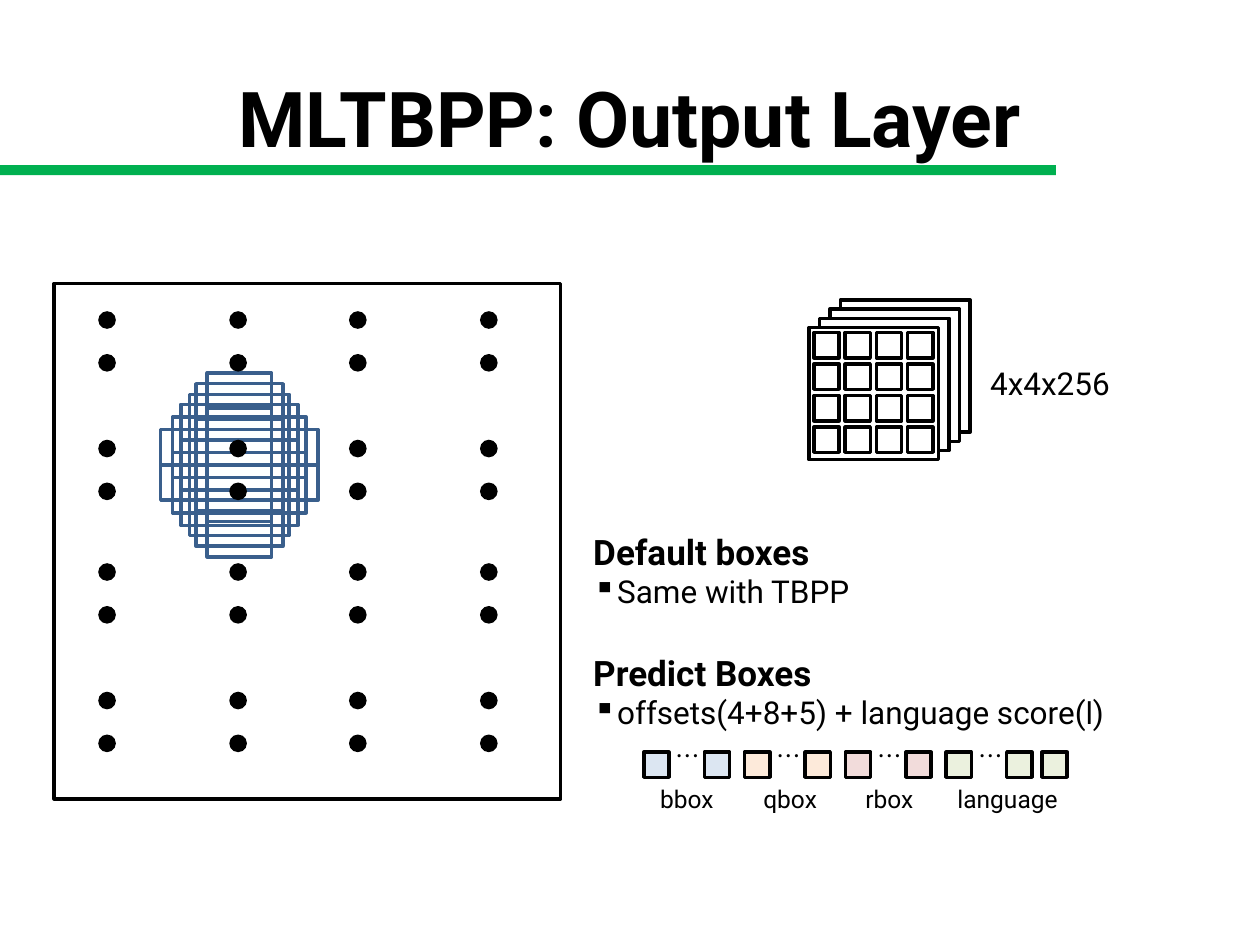
from itertools import product

from lxml.etree import SubElement
from pptx import Presentation
from pptx.dml.color import RGBColor
from pptx.enum.shapes import MSO_SHAPE
from pptx.enum.text import MSO_ANCHOR, PP_ALIGN
from pptx.oxml.ns import qn
from pptx.util import Inches, Pt

COLORS = {
    "black": "000000",
    "white": "FFFFFF",
    "green": "00B050",
    "default_box": "3A5F8C",
    "bbox": "DCE6F2",
    "qbox": "FDEADA",
    "rbox": "F2DCDB",
    "language": "EBF1DE",
}
TITLE = {"size": Pt(44), "bold": True}
HEADING = {"size": Pt(20), "bold": True}
BODY = {"size": Pt(18), "bold": False}
LABEL = {"size": Pt(14)}
TIGHT = {"margin_left": 0, "margin_right": 0, "margin_top": 0, "margin_bottom": 0}


def set_attributes(target, values):
    for name, value in values.items():
        setattr(target, name, value)


class SlideBuilder:
    """Holds the text style and the slide, or group, being filled."""

    def __init__(self, slide, font="Roboto", line_width=2):
        self.slide = slide
        self.font = font
        self.line_width = Pt(line_width)
        self.shapes = slide.shapes

    def start_group(self):
        self.shapes = self.slide.shapes.add_group_shape().shapes

    def end_group(self):
        self.shapes = self.slide.shapes

    def shape(self, left, top, width, height, fill="white", line="black",
              kind=MSO_SHAPE.RECTANGLE):
        shape = self.shapes.add_shape(
            kind, Inches(left), Inches(top), Inches(width), Inches(height))
        shape.shadow.inherit = False
        if fill:
            shape.fill.solid()
            shape.fill.fore_color.rgb = RGBColor.from_string(COLORS[fill])
        else:
            shape.fill.background()
        if line:
            shape.line.color.rgb = RGBColor.from_string(COLORS[line])
            shape.line.width = self.line_width
        else:
            shape.line.fill.background()

    def run(self, paragraph, text, style, font=None):
        run = paragraph.add_run()
        run.text = text
        set_attributes(run.font, {"name": font or self.font, **style})
        run.font.color.rgb = RGBColor.from_string(COLORS["black"])
        return run

    def text_box(self, left, top, width, height, **frame_format):
        box = self.shapes.add_textbox(
            Inches(left), Inches(top), Inches(width), Inches(height))
        set_attributes(box.text_frame, {"word_wrap": True, **frame_format})
        return box.text_frame

    def text(self, left, top, width, height, text, style, align=PP_ALIGN.LEFT,
             font=None, **frame_format):
        frame = self.text_box(left, top, width, height, **frame_format)
        paragraph = frame.paragraphs[0]
        paragraph.alignment = align
        return self.run(paragraph, text, style, font)

    def dots(self, left, top, size):
        font = "Noto Sans CJK KR"
        run = self.text(left, top, size, size, "…", LABEL, PP_ALIGN.CENTER, font,
                        vertical_anchor=MSO_ANCHOR.MIDDLE, **{**TIGHT, "word_wrap": False})
        SubElement(run.font._element, qn("a:ea"), typeface=font)

    def section(self, left, top, width, height, heading, bullet_runs):
        frame = self.text_box(left, top, width, height)
        self.run(frame.paragraphs[0], heading, HEADING)
        paragraph = frame.add_paragraph()
        indent = Inches(0.19)
        properties = paragraph._p.get_or_add_pPr()
        properties.set("marL", str(indent))
        properties.set("indent", str(-indent))
        SubElement(properties, qn("a:buChar"), char="▪")
        for text, font in bullet_runs:
            self.run(paragraph, text, BODY, font)


def add_feature_maps(builder):
    builder.start_group()
    # Stacked maps, back to front
    for step in range(4):
        builder.shape(6.67 - 0.083 * step, 2.38 + 0.073 * step, 1.03, 1.05)
    # Cells of the front map
    for row, column in product(range(4), repeat=2):
        builder.shape(6.46 + 0.248 * column, 2.64 + 0.25 * row, 0.2, 0.2)
    builder.text(7.76, 2.84, 1.16, 0.4, "4x4x256", BODY, word_wrap=False)
    builder.end_group()


def add_prediction_vector(builder):
    size, top = 0.2, 5.97
    labels = [("bbox", 5.14, 0.64), ("qbox", 5.96, 0.63),
              ("rbox", 6.77, 0.63), ("language", 7.5, 1.13)]
    builder.start_group()
    for index, (name, label_left, label_width) in enumerate(labels):
        left = 5.11 + 0.8 * index
        for offset in (0, 0.48):
            builder.shape(left + offset, top, size, size, name)
        builder.dots(left + 0.25, 5.9, size)
        builder.text(label_left, 6.17, label_width, 0.34, name, LABEL)
    builder.shape(8.27, top, size, size, "language")
    builder.end_group()


def add_default_boxes(builder):
    sizes = [(1.25, 0.28), (1.06, 0.48), (0.93, 0.68),
             (0.79, 0.84), (0.69, 1.01), (0.51, 1.18)]
    center_x = 1.9
    builder.start_group()
    for center_y, (width, height) in product((3.55, 3.83), sizes):
        builder.shape(center_x - width / 2, center_y - height / 2, width, height,
                      None, "default_box")
    builder.end_group()


def add_anchor_points(builder):
    columns = (0.78, 1.82, 2.77, 3.81)
    rows = (2.47, 3.49, 4.47, 5.49)
    builder.start_group()
    for top, left, offset in product(rows, columns, (0, 0.34)):
        builder.shape(left, top + offset, 0.14, 0.14, "black", None, MSO_SHAPE.OVAL)
    builder.end_group()


def main():
    presentation = Presentation()
    presentation.slide_width = Inches(10)
    presentation.slide_height = Inches(7.5)
    slide = presentation.slides.add_slide(presentation.slide_layouts[6])
    builder = SlideBuilder(slide)

    # Title
    builder.text(0.5, 0.3, 9, 1.25, "MLTBPP: Output Layer", TITLE,
                 PP_ALIGN.CENTER, vertical_anchor=MSO_ANCHOR.MIDDLE)

    # Input area with default boxes and anchor points
    builder.shape(0.43, 2.25, 4.02, 4.09)
    add_default_boxes(builder)
    add_anchor_points(builder)

    # Feature maps and predicted values
    add_feature_maps(builder)
    add_prediction_vector(builder)

    # Explanations
    builder.section(4.61, 4.16, 4.31, 0.74, "Default boxes",
                    [("Same with TBPP", None)])
    builder.section(4.61, 5.12, 4.49, 0.74, "Predict Boxes",
                    [("offsets(4+8+5) + language score(", None),
                     ("l", "Arial"), (")", None)])

    # Line under the title
    builder.shape(-0.12, 1.31, 8.5, 0.08, "green", None)

    presentation.save("out.pptx")


if __name__ == "__main__":
    main()
